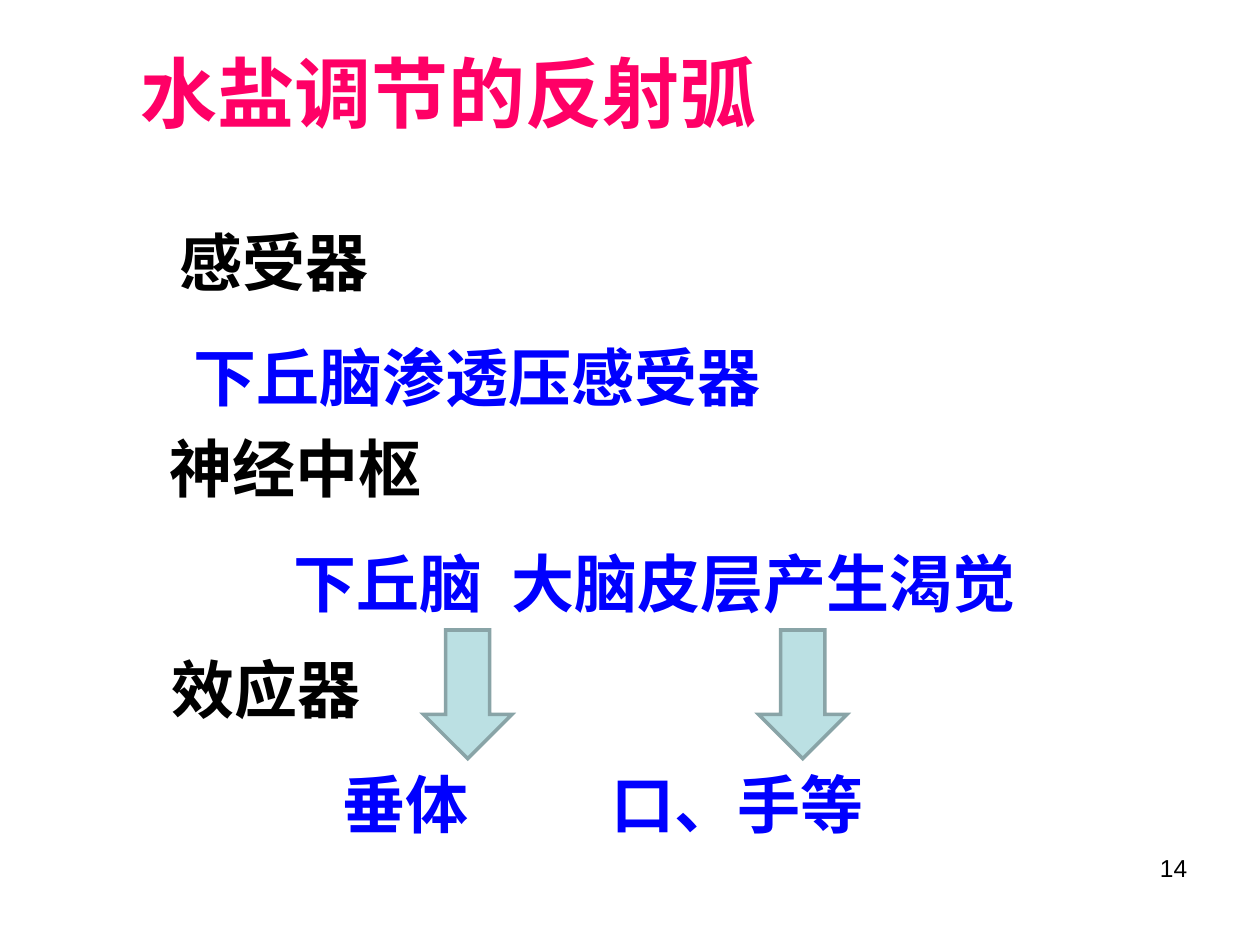
from lxml.etree import SubElement
from pptx import Presentation
from pptx.dml.color import RGBColor
from pptx.enum.shapes import MSO_SHAPE as Shape
from pptx.enum.text import MSO_ANCHOR as Anchor, MSO_AUTO_SIZE as AutoSize, PP_ALIGN as Align
from pptx.oxml.ns import qn
from pptx.util import Pt

PINK = RGBColor(0xFF, 0x00, 0x66)
BLACK = RGBColor(0x00, 0x00, 0x00)
BLUE = RGBColor(0x00, 0x00, 0xFF)
PALE_TEAL = RGBColor(0xBB, 0xE0, 0xE3)
GREY_TEAL = RGBColor(0x89, 0xA4, 0xA7)
TITLE_FONT = "Noto Sans CJK SC"
BODY_FONT = "Noto Sans CJK JP"


def format_run(run, font_name, size, color, bold=True):
    font = run.font
    font.name, font.size, font.bold = font_name, Pt(size), bold
    font.color.rgb = color
    SubElement(run._r.get_or_add_rPr(), qn("a:ea"), typeface=font_name)


def add_tabs(paragraph, positions):
    tab_list = SubElement(paragraph._p.get_or_add_pPr(), qn("a:tabLst"))
    for position in positions:
        SubElement(tab_list, qn("a:tab"), pos=str(Pt(position)), algn="l")


def format_title(title, text):
    title.left, title.top, title.width, title.height = Pt(73), Pt(22.5), Pt(456), Pt(60.5)
    frame = title.text_frame
    frame.text = text
    frame.auto_size = AutoSize.NONE
    frame.vertical_anchor = Anchor.TOP
    paragraph = frame.paragraphs[0]
    paragraph.alignment = Align.LEFT
    format_run(paragraph.runs[0], TITLE_FONT, 44, PINK)


def add_text_box(slide, left, top, width, height):
    frame = slide.shapes.add_textbox(Pt(left), Pt(top), Pt(width), Pt(height)).text_frame
    frame.word_wrap = True
    return frame


def add_section(slide, left, top, width, heading, heading_tabs, detail, detail_tabs):
    frame = add_text_box(slide, left, top, width, 116.5)
    frame.text = f"{heading}\n{detail}"
    styles = ((BLACK, heading_tabs), (BLUE, detail_tabs))
    for paragraph, (color, tabs) in zip(frame.paragraphs, styles):
        if tabs:
            add_tabs(paragraph, tabs)
        format_run(paragraph.runs[0], BODY_FONT, 36, color)
    frame.paragraphs[1].space_before = Pt(22.5)


def add_down_arrow(slide, left):
    arrow = slide.shapes.add_shape(Shape.DOWN_ARROW, Pt(left), Pt(360), Pt(50.5), Pt(73.5))
    arrow.shadow.inherit = False
    arrow.fill.solid()
    arrow.fill.fore_color.rgb = PALE_TEAL
    arrow.line.color.rgb = GREY_TEAL
    arrow.line.width = Pt(2)
    SubElement(arrow.line._get_or_add_ln(), qn("a:miter"), lim="800000")


def add_page_number(slide, number):
    frame = add_text_box(slide, 517.5, 484, 168, 37.5)
    frame.text = number
    paragraph = frame.paragraphs[0]
    paragraph.alignment = Align.RIGHT
    format_run(paragraph.runs[0], "Arial", 14, BLACK, bold=False)


def main():
    presentation = Presentation()
    presentation.slide_width, presentation.slide_height = Pt(720), Pt(540)
    slide = presentation.slides.add_slide(presentation.slide_layouts[5])
    add_page_number(slide, "14")
    format_title(slide.shapes.title, "水盐调节的反射弧")
    add_section(slide, 95.5, 124, 590.5, "感受器", (), "\t下丘脑渗透压感受器", (8,))
    add_section(slide, 90, 242, 551.5, "神经中枢", (),
                "\t下丘脑\t大脑皮层产生渴觉", (70.5, 195.5))
    add_section(slide, 58.5, 368, 597, "\t效应器", (32.5,),
                "\t垂体\t口、手等", (130, 284))
    for left in (242, 433.5):
        add_down_arrow(slide, left)
    presentation.save("out.pptx")


if __name__ == "__main__":
    main()
